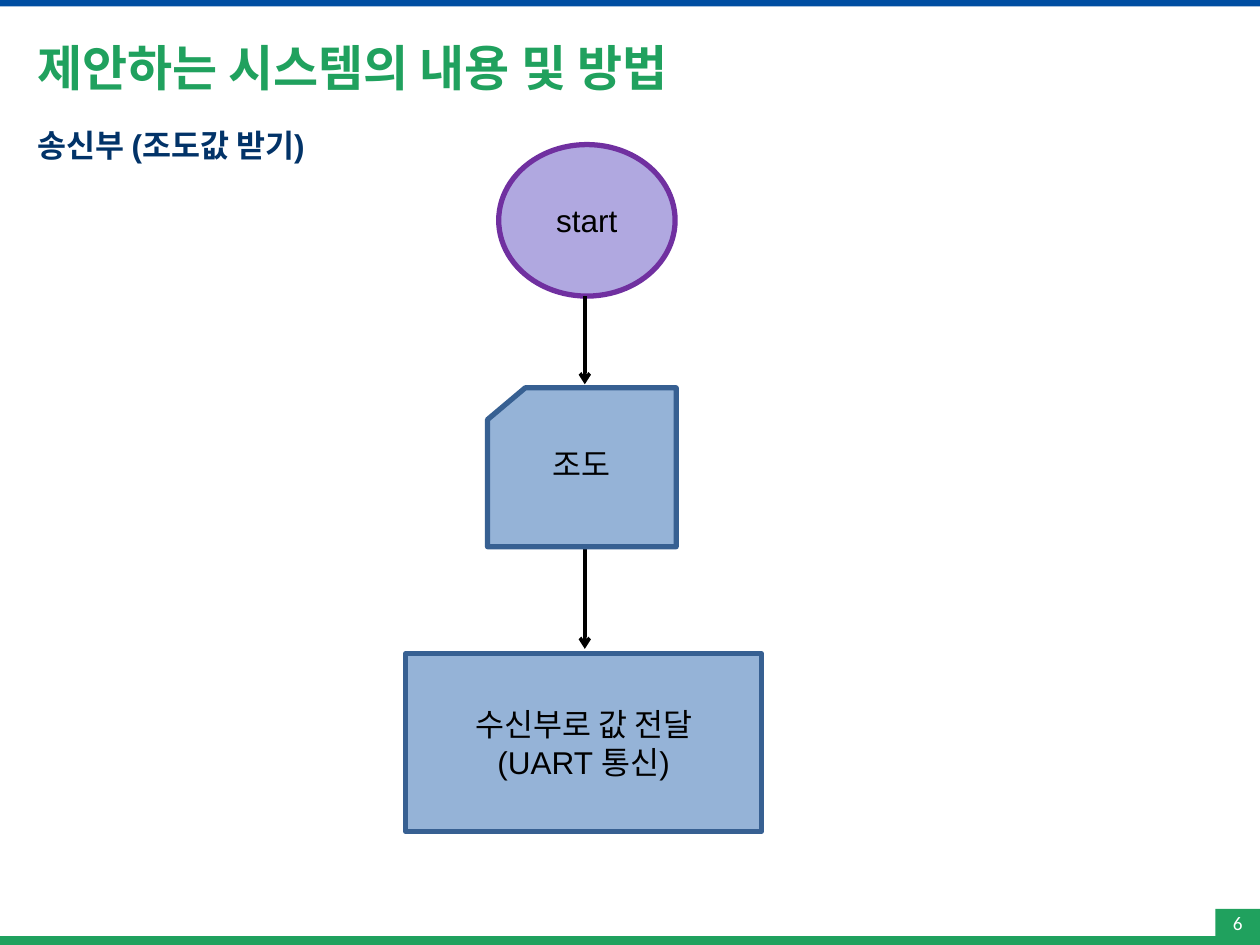
import dataclasses

import lxml.etree
import pptx
import pptx.dml.color
import pptx.enum.shapes
import pptx.enum.text
import pptx.oxml
import pptx.oxml.ns
import pptx.util

Pt = pptx.util.Pt
Shapes = pptx.enum.shapes.MSO_SHAPE
Align = pptx.enum.text.PP_ALIGN
Anchor = pptx.enum.text.MSO_ANCHOR


@dataclasses.dataclass(frozen=True)
class Theme:
    green: str = "20A15E"
    blue: str = "004EA2"
    navy: str = "023368"
    black: str = "000000"
    white: str = "FFFFFF"
    lilac: str = "B0A8E0"
    purple: str = "7030A0"
    light_blue: str = "95B3D7"
    steel: str = "376092"
    title_font: str = "Calibri"
    body_font: str = "Arial"
    title_size: float = 28
    body_size: float = 18
    number_size: float = 11
    border: float = 3
    arrow: float = 2


def color(value):
    return pptx.dml.color.RGBColor.from_string(value)


def apply(target, values):
    for name, value in values.items():
        setattr(target, name, value)


class SlideBuilder:
    def __init__(self, slide, theme):
        self.slide = slide
        self.theme = theme

    def label(self, shape, lines, font, size, ink, bold=False,
              align=Align.CENTER, anchor=Anchor.MIDDLE, frame_format=None):
        frame = shape.text_frame
        apply(frame, {"word_wrap": True, "vertical_anchor": anchor, **(frame_format or {})})
        frame.text = "\n".join(lines)
        for paragraph in frame.paragraphs:
            paragraph.alignment = align
            text_font = paragraph.runs[0].font
            apply(text_font, {"name": font, "size": Pt(size), "bold": bold})
            text_font.color.rgb = color(ink)

    def block(self, kind, bounds, fill, border=None):
        shape = self.slide.shapes.add_shape(kind, *map(Pt, bounds))
        shape.shadow.inherit = False
        shape.fill.solid()
        shape.fill.fore_color.rgb = color(fill)
        if border:
            shape.line.color.rgb = color(border)
            shape.line.width = Pt(self.theme.border)
        else:
            shape.line.fill.background()
        return shape

    def heading(self, text, bounds, font, size, ink, anchor):
        box = self.slide.shapes.add_textbox(*map(Pt, bounds))
        self.label(box, [text], font, size, ink, True, Align.LEFT, anchor)

    def step(self, kind, bounds, lines, fill, border, frame_format=None):
        shape = self.block(kind, bounds, fill, border)
        self.label(shape, lines, self.theme.body_font, self.theme.body_size,
                   self.theme.black, frame_format=frame_format)

    def arrow(self, x, top, bottom):
        connector = self.slide.shapes.add_connector(
            pptx.enum.shapes.MSO_CONNECTOR.STRAIGHT, Pt(x), Pt(top), Pt(x), Pt(bottom))
        connector.line.color.rgb = color(self.theme.black)
        connector.line.width = Pt(self.theme.arrow)
        qualified = pptx.oxml.ns.qn
        properties = connector._element.spPr
        outline = properties.find(qualified("a:ln"))
        lxml.etree.SubElement(outline, qualified("a:tailEnd"), type="arrow")
        lxml.etree.SubElement(properties, qualified("a:effectLst"))


theme = Theme()
presentation = pptx.Presentation()
apply(presentation, {"slide_width": Pt(720), "slide_height": Pt(540)})
builder = SlideBuilder(presentation.slides.add_slide(presentation.slide_layouts[6]), theme)

builder.block(Shapes.RECTANGLE, (0, 534.9, 720, 5.1), theme.green)
builder.block(Shapes.RECTANGLE, (0, 0, 720, 3.6), theme.blue)
builder.heading("제안하는 시스템의 내용 및 방법", (14.4, 14.4, 692, 48),
                theme.title_font, theme.title_size, theme.green, Anchor.MIDDLE)

page_number = builder.block(Shapes.RECTANGLE, (694.5, 519.4, 25.5, 15.5), theme.green)
no_margins = {f"margin_{side}": 0 for side in ("left", "top", "right", "bottom")}
builder.label(page_number, ["6"], theme.title_font, theme.number_size, theme.white,
              frame_format=no_margins)

builder.heading("송신부 (조도값 받기)", (14.4, 68.4, 271.5, 29),
                theme.body_font, theme.body_size, theme.navy, Anchor.TOP)

arrow_x = 334.2
builder.arrow(arrow_x, 289, 370.8)
builder.step(Shapes.OVAL, (285, 82.6, 100.8, 86.6), ["start"], theme.lilac, theme.purple)
builder.arrow(arrow_x, 169.2, 219.6)
builder.step(Shapes.FLOWCHART_CARD, (278.6, 221.6, 107.8, 90.8), ["조도"],
             theme.light_blue, theme.steel, {"margin_bottom": Pt(25)})
builder.step(Shapes.RECTANGLE, (231.8, 373.6, 203.4, 101.4),
             ["수신부로 값 전달", "(UART 통신)"], theme.light_blue, theme.steel)

presentation.save("out.pptx")
